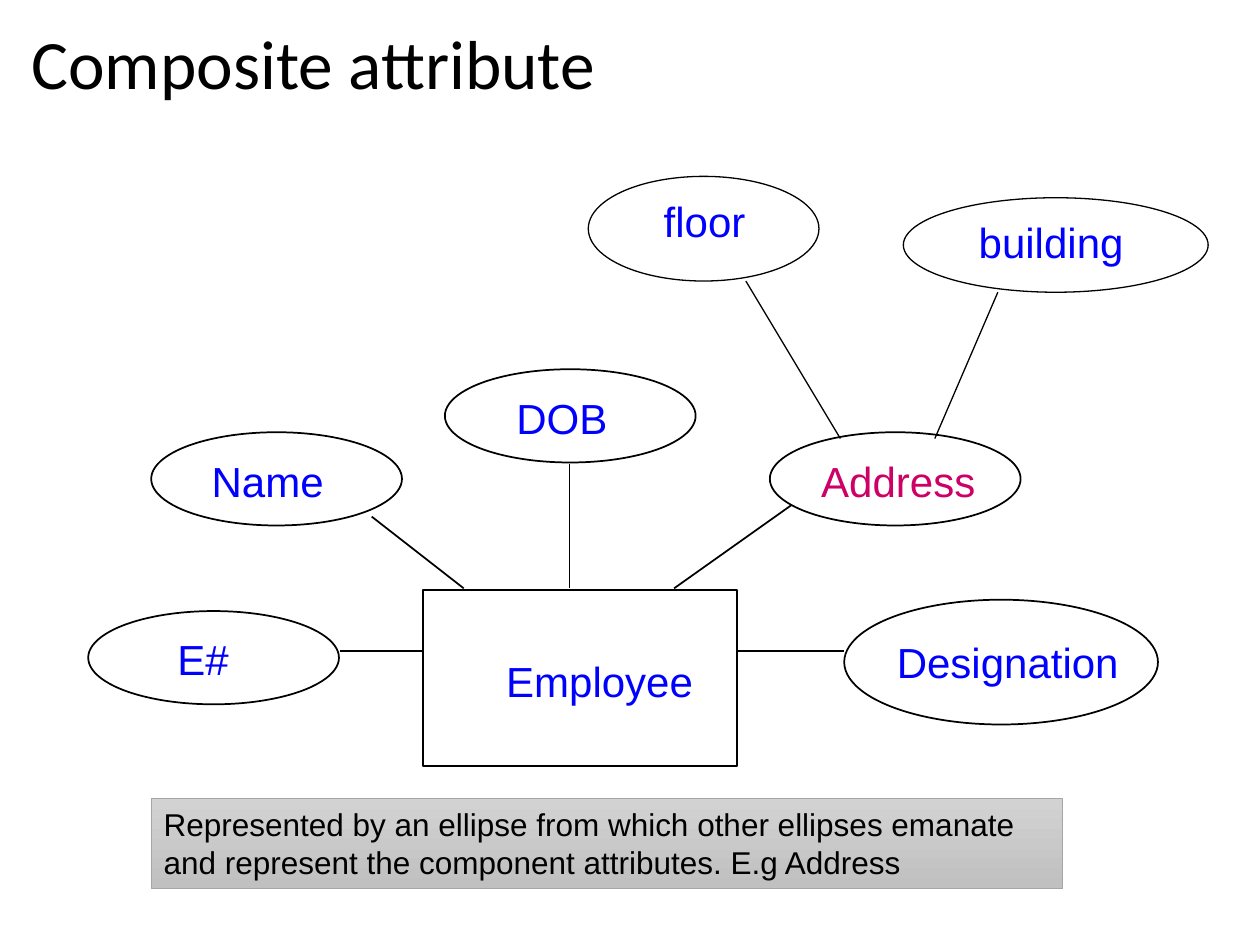
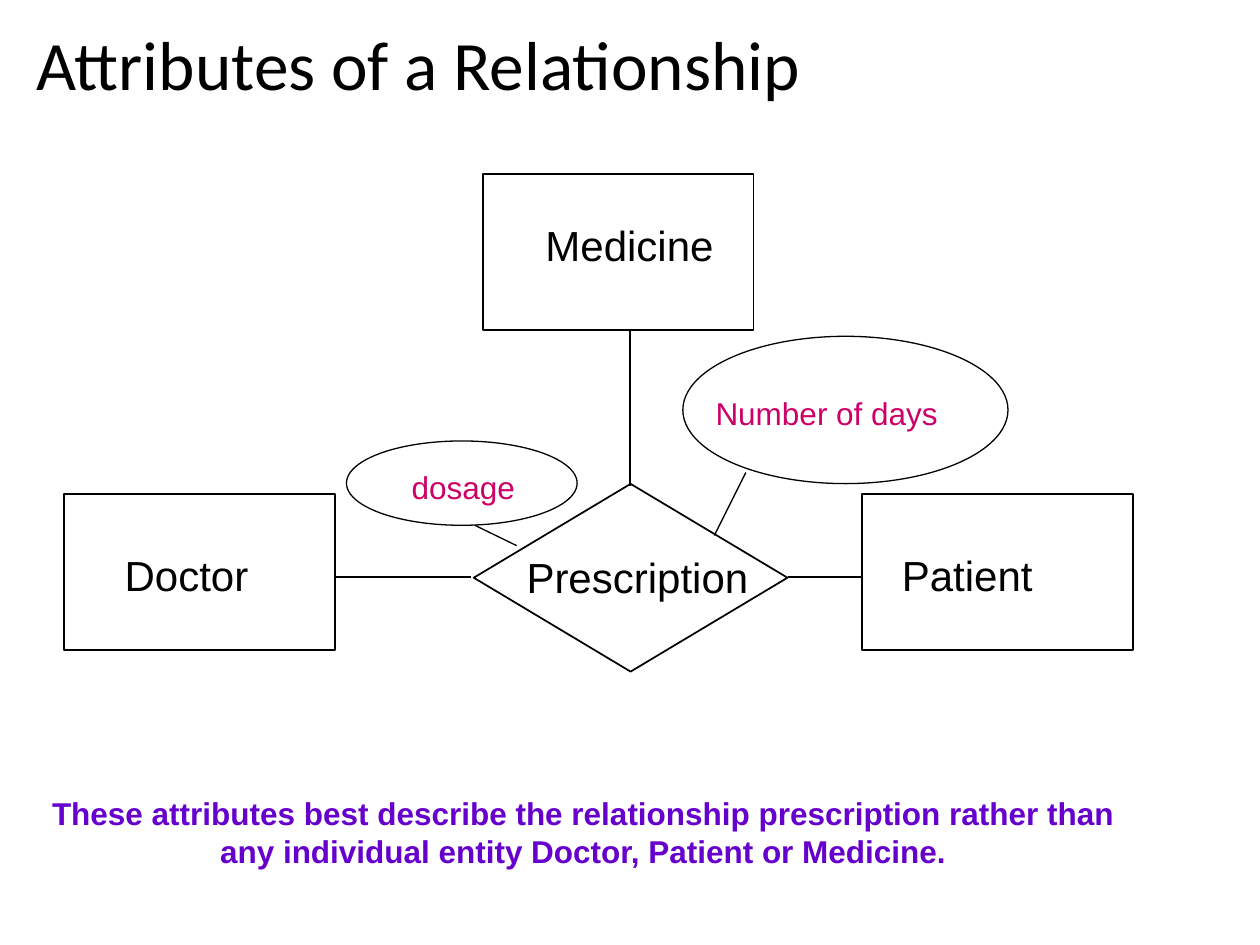
"""Build two slides of entity-relationship diagrams about attributes."""
from dataclasses import dataclass
from typing import NamedTuple

from lxml.etree import SubElement
from pptx import Presentation
from pptx.dml.color import RGBColor
from pptx.enum.shapes import MSO_CONNECTOR, MSO_SHAPE
from pptx.enum.text import MSO_ANCHOR, PP_ALIGN
from pptx.oxml.ns import qn
from pptx.util import Pt

BLACK = RGBColor(0x00, 0x00, 0x00)
BLUE = RGBColor(0x00, 0x00, 0xFF)
MAGENTA = RGBColor(0xCC, 0x00, 0x66)
PURPLE = RGBColor(0x66, 0x00, 0xCC)
NOTE_TOP = RGBColor(0xD2, 0xD2, 0xD2)
NOTE_BOTTOM = RGBColor(0xC0, 0xC0, 0xC0)
NOTE_EDGE = RGBColor(0xA5, 0xA5, 0xA5)

TITLE_FONT = "Calibri"
BODY_FONT = "Arial"
MEDIUM = 1
THIN = 0.75
INSET_X = 7.2
INSET_Y = 3.6

ELLIPSE = MSO_SHAPE.OVAL
RECTANGLE = MSO_SHAPE.RECTANGLE
DIAMOND = MSO_SHAPE.DIAMOND


class Frame(NamedTuple):
    left: float
    top: float
    width: float
    height: float

    def lengths(self) -> list:
        return [Pt(value) for value in self]


class Link(NamedTuple):
    start: tuple[float, float]
    end: tuple[float, float]
    weight: float = MEDIUM


@dataclass(frozen=True)
class Node:
    text: str
    kind: MSO_SHAPE
    frame: Frame
    label: tuple[float, float, float]
    color: RGBColor = BLUE
    size: float = 24
    weight: float = MEDIUM
    wrap: bool = False


def attribute(left: float, top: float) -> Frame:
    return Frame(left, top, 143.3, 53.3)


def entity(left: float, top: float) -> Frame:
    return Frame(left, top, 154.8, 89.3)


EMPLOYEE_NODES = [
    Node("Employee", RECTANGLE, Frame(241.9, 337, 179.3, 100.8), (282.2, 370.8, 121)),
    Node("Name", ELLIPSE, attribute(86.4, 247), (113.8, 257, 78.5)),
    Node("E#", ELLIPSE, attribute(50.4, 349.2), (94.3, 358.6, 43.9)),
    Node("Designation", ELLIPSE, Frame(482.4, 342.7, 179.3, 71.3),
         (505.4, 360, 141.1), wrap=True),
    Node("DOB", ELLIPSE, attribute(254.2, 211), (288, 221, 66.2)),
    Node("Address", ELLIPSE, attribute(439.9, 247), (462.2, 257, 102.2), MAGENTA),
    Node("floor", ELLIPSE, Frame(336.2, 100.8, 131.8, 59.8),
         (372.2, 108, 84.2), weight=THIN, wrap=True),
    Node("building", ELLIPSE, Frame(516.2, 113, 174.2, 54),
         (552.2, 120.2, 113.8), weight=THIN, wrap=True),
]
EMPLOYEE_LINKS = [
    Link((194.4, 372.2), (241.2, 372.2)),
    Link((212.4, 295.2), (265, 336.2)),
    Link((325.4, 265), (325.4, 336.2)),
    Link((452.2, 288.7), (385.2, 336.2)),
    Link((482.4, 372.2), (421.2, 372.2)),
    Link((426.2, 160.6), (480.2, 250.6), THIN),
    Link((570.2, 167), (534.2, 250.6), THIN),
]

PRESCRIPTION_NODES = [
    Node("Doctor", RECTANGLE, entity(36.7, 282.2), (64.1, 310.3, 85), BLACK),
    Node("Patient", RECTANGLE, entity(492.5, 282.2), (508.3, 310.3, 89.3), BLACK),
    Node("Medicine", RECTANGLE, entity(275.8, 99.4), (304.6, 121.7, 110.2), BLACK),
    Node("Prescription", DIAMOND, Frame(270.7, 276.5, 179.3, 107.3),
         (293.8, 311.8, 141.1), BLACK),
    Node("dosage", ELLIPSE, Frame(198, 252, 131.8, 48.2),
         (228.2, 264.2, 84.2), MAGENTA, 18, THIN, True),
    Node("Number of days", ELLIPSE, Frame(390.2, 192.2, 185.8, 84.2),
         (401.8, 221.8, 156.2), MAGENTA, 18, THIN, True),
]
PRESCRIPTION_LINKS = [
    Link((360, 188.6), (360, 277.9)),
    Link((192.2, 329.8), (269.3, 329.8)),
    Link((450, 329.8), (491.8, 329.8)),
    Link((271.4, 300.2), (295.2, 311.8), THIN),
    Link((408.2, 306), (426.2, 270), THIN),
]


def write_text(box, text: str, *, font: str = BODY_FONT, size: float = 18,
               color: RGBColor = BLACK, bold: bool = False, wrap: bool = True,
               align: PP_ALIGN = PP_ALIGN.LEFT, anchor: MSO_ANCHOR = MSO_ANCHOR.TOP,
               left_inset: float = INSET_X, line_spacing: float | None = None) -> None:
    frame = box.text_frame
    frame.word_wrap = wrap
    frame.vertical_anchor = anchor
    frame.margin_left, frame.margin_right = Pt(left_inset), Pt(INSET_X)
    frame.margin_top = frame.margin_bottom = Pt(INSET_Y)
    para = frame.paragraphs[0]
    para.alignment = align
    if line_spacing:
        para.line_spacing = line_spacing
    span = para.add_run()
    span.text = text
    span.font.name = font
    span.font.size = Pt(size)
    span.font.bold = bold
    span.font.color.rgb = color


def add_titled_page(deck, title: str, left: float, top: float):
    page = deck.slides.add_slide(deck.slide_layouts[5])
    box = page.shapes.title
    box.left, box.top, box.width, box.height = Frame(left, top, 675.4, 40.3).lengths()
    write_text(box, title, font=TITLE_FONT, size=39.6, anchor=MSO_ANCHOR.MIDDLE,
               left_inset=0, line_spacing=0.9)
    return page


def add_outline(page, kind: MSO_SHAPE, frame: Frame, color: RGBColor, weight: float):
    shape = page.shapes.add_shape(kind, *frame.lengths())
    shape.shadow.inherit = False
    shape.fill.background()
    shape.line.color.rgb = color
    shape.line.width = Pt(weight)
    return shape


def add_node(page, node: Node) -> None:
    add_outline(page, node.kind, node.frame, BLACK, node.weight)
    label = Frame(*node.label, node.size * 1.2 + 2 * INSET_Y)
    box = page.shapes.add_textbox(*label.lengths())
    write_text(box, node.text, size=node.size, color=node.color, wrap=node.wrap)


def add_link(page, link: Link) -> None:
    ends = [Pt(value) for value in (*link.start, *link.end)]
    line = page.shapes.add_connector(MSO_CONNECTOR.STRAIGHT, *ends)
    line.line.color.rgb = BLACK
    line.line.width = Pt(link.weight)
    SubElement(line._element.spPr, qn("a:effectLst"))


def add_diagram(page, nodes: list[Node], links: list[Link]) -> None:
    for node in nodes:
        add_node(page, node)
    for link in links:
        add_link(page, link)


def add_shaded_note(page, text: str, frame: Frame) -> None:
    box = add_outline(page, RECTANGLE, frame, NOTE_EDGE, 0.5)
    box.fill.gradient()
    box.fill.gradient_angle = 270
    for stop, color in zip(box.fill.gradient_stops, (NOTE_TOP, NOTE_BOTTOM)):
        stop.color.rgb = color
    write_text(box, text)


def main() -> None:
    deck = Presentation()
    deck.slide_width, deck.slide_height = Pt(720), Pt(540)

    page = add_titled_page(deck, "Composite attribute", 18, 18)
    add_diagram(page, EMPLOYEE_NODES, EMPLOYEE_LINKS)
    add_shaded_note(page, "Represented by an ellipse from which other ellipses emanate "
                    "and represent the component attributes. E.g Address",
                    Frame(86.4, 456.5, 520.6, 51.1))

    page = add_titled_page(deck, "Attributes of a Relationship", 20.9, 18.7)
    add_diagram(page, PRESCRIPTION_NODES, PRESCRIPTION_LINKS)
    box = page.shapes.add_textbox(*Frame(12.2, 450, 642.2, 51.1).lengths())
    write_text(box, "These attributes best describe the relationship prescription rather "
               "than any individual entity Doctor, Patient or Medicine.",
               color=PURPLE, bold=True, align=PP_ALIGN.CENTER)

    deck.save("out.pptx")


if __name__ == "__main__":
    main()
